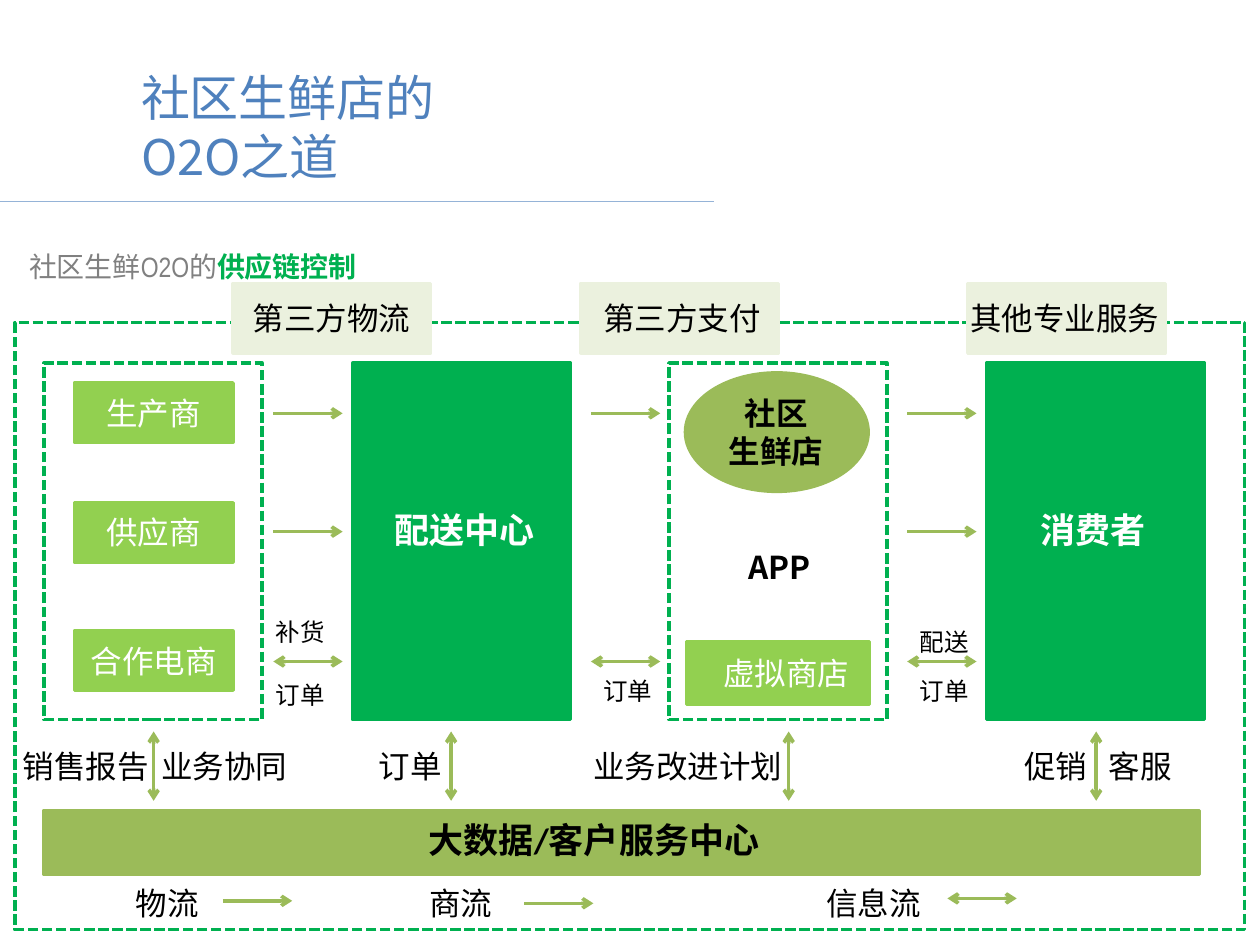
from dataclasses import dataclass
from typing import Optional

from lxml.etree import SubElement
from pptx import Presentation
from pptx.dml.color import RGBColor
from pptx.enum.dml import MSO_LINE
from pptx.enum.shapes import MSO_CONNECTOR, MSO_SHAPE
from pptx.enum.text import MSO_ANCHOR, MSO_AUTO_SIZE, PP_ALIGN
from pptx.oxml.ns import qn
from pptx.util import Pt

WHITE = RGBColor(0xFF, 0xFF, 0xFF)
BLACK = RGBColor(0x00, 0x00, 0x00)
GRAY = RGBColor(0x80, 0x80, 0x80)
BLUE = RGBColor(0x4F, 0x81, 0xBD)
PALE_BLUE = RGBColor(0x95, 0xB3, 0xD7)
GREEN = RGBColor(0x00, 0xB0, 0x50)
LIME = RGBColor(0x92, 0xD0, 0x50)
OLIVE = RGBColor(0x9B, 0xBB, 0x59)
PALE_OLIVE = RGBColor(0xEB, 0xF1, 0xDE)

CJK = "Noto Sans CJK SC"
PANEL_TOP, PANEL_W, PANEL_H = 207.4, 124.5, 203.8
ARROW_LEN = 39.6


@dataclass
class Block:
    """A filled shape, or a dashed frame when fill is None."""
    x: float
    y: float
    w: float
    h: float
    fill: Optional[RGBColor] = None
    text: str = ""
    kind: MSO_SHAPE = MSO_SHAPE.RECTANGLE


@dataclass
class Label:
    x: float
    y: float
    w: float
    h: float
    text: str
    size: float = 18
    color: RGBColor = BLACK
    bold: bool = False
    align: PP_ALIGN = PP_ALIGN.LEFT
    font: str = "Calibri"


@dataclass
class Arrow:
    x: float
    y: float
    both: bool = False
    vertical: bool = False


def format_text(tf, text: str, size: float, color: RGBColor, bold: bool = False,
                align: PP_ALIGN = PP_ALIGN.LEFT, font: str = "Calibri") -> None:
    tf.text = text
    for p in tf.paragraphs:
        p.alignment = align
        p.font.name, p.font.size, p.font.bold = font, Pt(size), bold
        p.font.color.rgb = color


def zero_margins(tf) -> None:
    tf.margin_left = tf.margin_right = tf.margin_top = tf.margin_bottom = 0


def draw_block(s, b: Block) -> None:
    sp = s.shapes.add_shape(b.kind, Pt(b.x), Pt(b.y), Pt(b.w), Pt(b.h))
    sp.shadow.inherit = False
    sp.line.width = Pt(2)
    if b.fill is None:
        sp.fill.background()
        sp.line.color.rgb = GREEN
        sp.line.dash_style = MSO_LINE.SQUARE_DOT
    else:
        sp.fill.solid()
        sp.fill.fore_color.rgb = b.fill
        sp.line.color.rgb = b.fill
    if b.text:
        sp.text_frame.vertical_anchor = MSO_ANCHOR.MIDDLE
        format_text(sp.text_frame, b.text, 18, WHITE, align=PP_ALIGN.CENTER)


def draw_label(s, lb: Label) -> None:
    tf = s.shapes.add_textbox(Pt(lb.x), Pt(lb.y), Pt(lb.w), Pt(lb.h)).text_frame
    tf.word_wrap = True
    tf.auto_size = MSO_AUTO_SIZE.SHAPE_TO_FIT_TEXT
    format_text(tf, lb.text, lb.size, lb.color, lb.bold, lb.align, lb.font)


def draw_line(s, x1: float, y1: float, x2: float, y2: float,
              color: RGBColor, width: float, ends: tuple = ()) -> None:
    c = s.shapes.add_connector(MSO_CONNECTOR.STRAIGHT, Pt(x1), Pt(y1), Pt(x2), Pt(y2))
    c.line.color.rgb = color
    c.line.width = Pt(width)
    ln = c.line._get_or_add_ln()
    for end in ends:
        SubElement(ln, qn(f"a:{end}"), type="arrow")
    SubElement(c._element.spPr, qn("a:effectLst"))


def draw_arrow(s, a: Arrow) -> None:
    dx, dy = (0, ARROW_LEN) if a.vertical else (ARROW_LEN, 0)
    ends = ("headEnd", "tailEnd") if a.both else ("tailEnd",)
    draw_line(s, a.x, a.y, a.x + dx, a.y + dy, OLIVE, 2, ends)


def heading(label_x: float, y: float, w: float, h: float, text: str, size: float,
            color: RGBColor, font: str = "Calibri") -> Label:
    return Label(label_x, y, w, h, text, size, color, True, PP_ALIGN.CENTER, font)


BLOCKS = [
    # Outer frame and the four stages
    Block(8.6, 184.3, 702.7, 347),
    *[Block(x, PANEL_TOP, PANEL_W, PANEL_H, fill)
      for x, fill in ((25.2, None), (201.6, GREEN), (382.3, None), (563.8, GREEN))],
    # Suppliers
    *[Block(42.5, y, 90.7, 33.8, LIME, text)
      for y, text in ((218.9, "生产商"), (287.3, "供应商"), (360.7, "合作电商"))],
    # Shops
    Block(391.7, 213.1, 104.4, 67.7, OLIVE, kind=MSO_SHAPE.OVAL),
    Block(392.4, 366.5, 104.4, 36, LIME),
    # Data centre bar
    Block(25.2, 463, 660.2, 36.7, OLIVE),
    # Third-party service tags
    *[Block(x, 162, 113, 39.6, PALE_OLIVE) for x in (133.2, 331.9, 553)],
]

LABELS = [
    heading(204.5, 287.3, 121.7, 31.7, "配送中心", 20, WHITE),
    heading(563.8, 287.3, 121.7, 31.7, "消费者", 20, WHITE),
    heading(408.2, 221.8, 70.6, 51.1, "社区\n生鲜店", 18, BLACK),
    heading(415.4, 309.6, 59.8, 28.8, "APP", 18, BLACK, CJK),
    heading(181.4, 464.4, 316.1, 31.7, "大数据/客户服务中心", 20, BLACK),
    Label(406.1, 370.1, 89.3, 28.8, "虚拟商店", color=WHITE),
    # Notes beside the two-way arrows
    *[Label(x, y, 62.6, 24.5, text, 14)
      for x, y, text in ((150.5, 349.2, "补货"), (150.5, 385.2, "订单"),
                         (337.7, 383, "订单"), (518.4, 383, "订单"),
                         (518.4, 355, "配送"))],
    # Exchanges with the data centre
    *[Label(x, 423.4, w, 28.8, text)
      for x, w, text in ((5.8, 105.1, "销售报告"), (85, 105.1, "业务协同"),
                         (209.5, 105.1, "订单"), (331.9, 133.2, "业务改进计划"),
                         (578.2, 65.5, "促销"), (626.4, 65.5, "客服"))],
    # Legend
    *[Label(x, 501.8, 105.1, 28.8, text)
      for x, text in ((70.6, "物流"), (238.3, "商流"), (465.1, "信息流"))],
    # Tag captions
    *[Label(x, 167.6, w, 28.8, text)
      for x, w, text in ((137.5, 120.2, "第三方物流"), (337.7, 120.2, "第三方支付"),
                         (547.2, 147.6, "其他专业服务"))],
]

ARROWS = [
    # Between stages
    *[Arrow(x, y, both) for x in (156.2, 337.7, 518.4)
      for y, both in ((236.2, False), (378, True))],
    *[Arrow(x, 303.8) for x in (156.2, 518.4)],
    # Stages to data centre
    *[Arrow(x, 418, True, True) for x in (87.8, 257.8, 450.7, 626.4)],
    # Legend
    Arrow(127.4, 514.8), Arrow(299.5, 516.2), Arrow(541.4, 513.4, True),
]


def main() -> None:
    prs = Presentation()
    prs.slide_width, prs.slide_height = Pt(720), Pt(540)
    s = prs.slides.add_slide(prs.slide_layouts[5])

    # Title and rule
    title = s.shapes.title
    title.left, title.top, title.width, title.height = Pt(80.6), Pt(52.6), Pt(223.2), Pt(38.9)
    tf = title.text_frame
    zero_margins(tf)
    tf.word_wrap = False
    tf.auto_size = MSO_AUTO_SIZE.NONE
    tf.vertical_anchor = MSO_ANCHOR.MIDDLE
    format_text(tf, "社区生鲜店的O2O之道", 28, BLUE, font=CJK)
    draw_line(s, 0, 115.2, 408.2, 115.2, PALE_BLUE, 1)

    # Subtitle with emphasis
    tf = s.shapes.add_textbox(Pt(16.6), Pt(139), Pt(375.1), Pt(23)).text_frame
    tf.word_wrap = True
    zero_margins(tf)
    format_text(tf, "社区生鲜O2O的", 16, GRAY, font="Arial Narrow")
    p = tf.paragraphs[0]
    p.line_spacing = 1.2
    r = p.add_run()
    r.text = "供应链控制"
    r.font.bold = True
    r.font.color.rgb = GREEN

    # Diagram
    for block in BLOCKS:
        draw_block(s, block)
    for arrow in ARROWS:
        draw_arrow(s, arrow)
    for label in LABELS:
        draw_label(s, label)

    prs.save("out.pptx")


if __name__ == "__main__":
    main()
